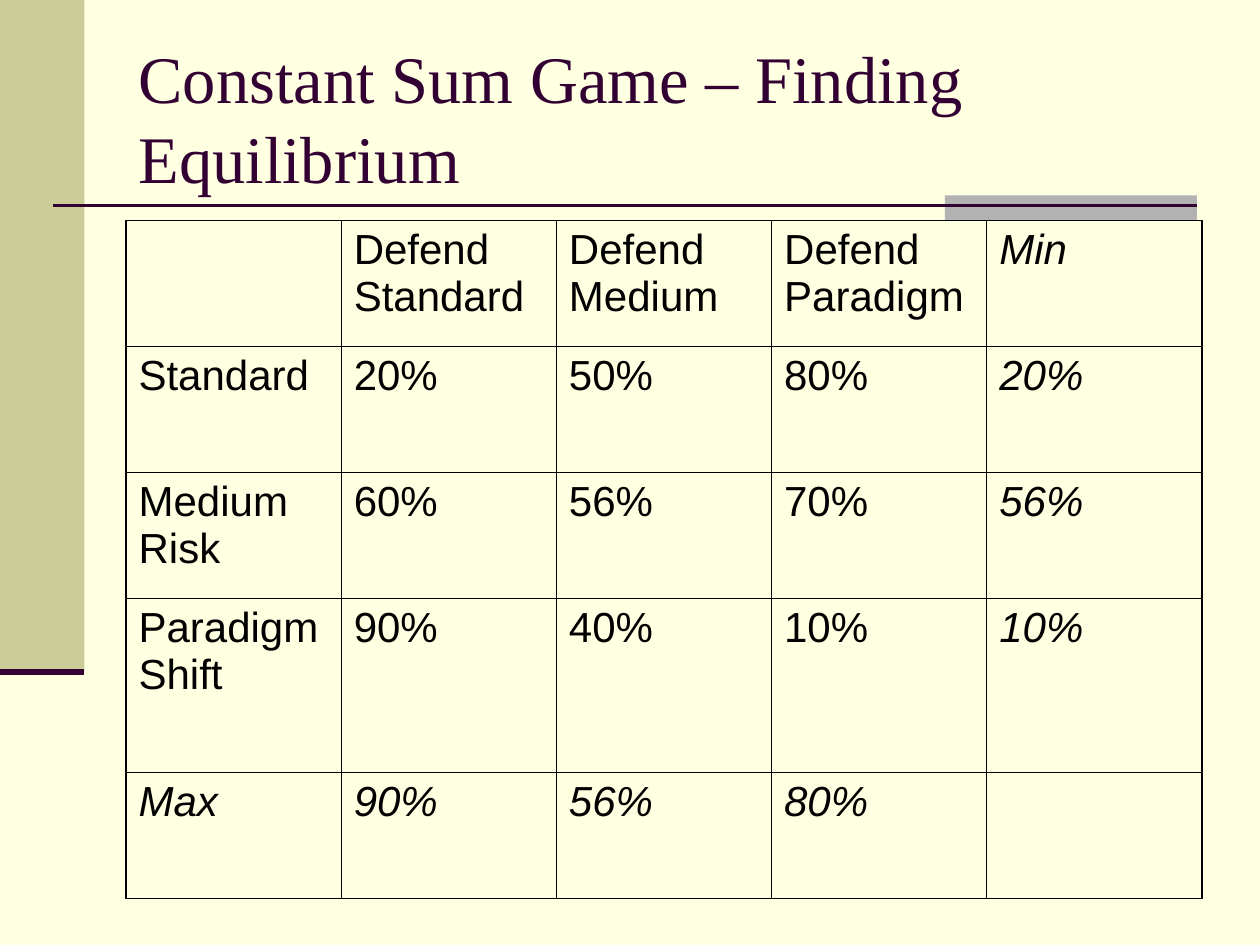
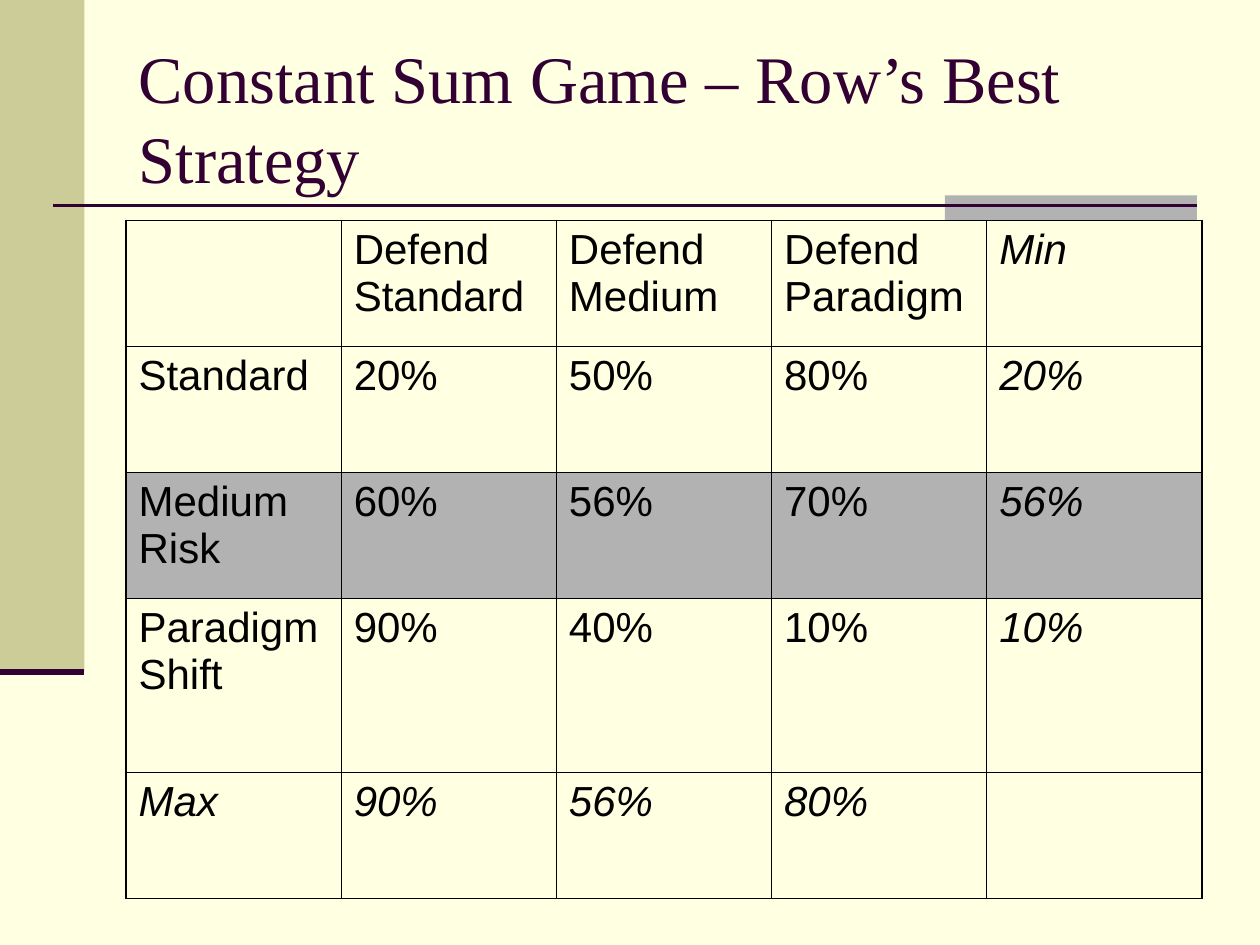
from pptx import Presentation
from pptx.dml.color import RGBColor
from pptx.enum.shapes import MSO_CONNECTOR as CONNECTOR, MSO_SHAPE as SHAPE
from pptx.enum.text import MSO_ANCHOR as ANCHOR, MSO_AUTO_SIZE as AUTO_SIZE, PP_ALIGN as ALIGN
from pptx.oxml import parse_xml
from pptx.oxml.ns import nsdecls, qn
from pptx.util import Inches, Pt
from lxml.etree import SubElement

CREAM = RGBColor(0xFF, 0xFF, 0xE1)
OLIVE = RGBColor(0xCC, 0xCC, 0x99)
GREY = RGBColor(0xB2, 0xB2, 0xB2)
PLUM = RGBColor(0x33, 0x00, 0x33)
BLACK = RGBColor(0x00, 0x00, 0x00)
OUTER_BORDER, INNER_BORDER = Pt(1.08), Pt(0.45)

BANDS = [(0, 0, 0.67, 5.33, OLIVE), (7.5, 1.55, 2, 0.2, GREY)]
RULES = [(0.42, 1.63, 9.5, 1.63, 1.5), (0, 5.33, 0.67, 5.33, 3.5)]

PAYOFFS = [
    ["", "Defend Standard", "Defend Medium", "Defend Paradigm", "Min"],
    ["Standard", "20%", "50%", "80%", "20%"],
    ["Medium Risk", "60%", "56%", "70%", "56%"],
    ["Paradigm Shift", "90%", "40%", "10%", "10%"],
    ["Max", "90%", "56%", "80%", ""],
]
ROW_HEIGHTS = [1, 1, 1, 1.38, 1]
LAST = len(PAYOFFS) - 1
SLIDES = [
    ("Constant Sum Game – Finding Equilibrium", None),
    ("Constant Sum Game – Row’s Best Strategy", "Medium Risk"),
]


def set_border(cell, side, width):
    cell._tc.get_or_add_tcPr().append(parse_xml(
        f'<a:ln{side} {nsdecls("a")} w="{width}"><a:solidFill>'
        f'<a:srgbClr val="{BLACK}"/></a:solidFill></a:ln{side}>'))


def style_font(paragraph, name, size, color):
    paragraph.font.name = name
    paragraph.font.size = Pt(size)
    paragraph.font.color.rgb = color


prs = Presentation()
prs.slide_width, prs.slide_height = Inches(10), Inches(7.5)
master_fill = prs.slide_master.background.fill
master_fill.solid()
master_fill.fore_color.rgb = CREAM

for heading, best_row in SLIDES:
    slide = prs.slides.add_slide(prs.slide_layouts[5])

    for left, top, width, height, color in BANDS:
        band = slide.shapes.add_shape(
            SHAPE.RECTANGLE, Inches(left), Inches(top), Inches(width), Inches(height))
        band.shadow.inherit = False
        band.fill.solid()
        band.fill.fore_color.rgb = color
        band.line.fill.background()

    for x1, y1, x2, y2, weight in RULES:
        rule = slide.shapes.add_connector(
            CONNECTOR.STRAIGHT, Inches(x1), Inches(y1), Inches(x2), Inches(y2))
        rule.line.color.rgb = PLUM
        rule.line.width = Pt(weight)
        SubElement(rule.element.spPr, qn("a:effectLst"))

    title = slide.shapes.title
    title.left, title.top = Inches(1), Inches(0.3)
    title.width, title.height = Inches(8.5), Inches(1.25)
    title.text_frame.text = heading
    title.text_frame.auto_size = AUTO_SIZE.NONE
    title.text_frame.vertical_anchor = ANCHOR.MIDDLE
    heading_line = title.text_frame.paragraphs[0]
    heading_line.alignment = ALIGN.LEFT
    style_font(heading_line, "Times New Roman", 38, PLUM)

    payoffs = slide.shapes.add_table(
        len(PAYOFFS), len(PAYOFFS[0]),
        Inches(1), Inches(1.75), Inches(8.54), Inches(sum(ROW_HEIGHTS))).table
    payoffs.first_row = payoffs.horz_banding = False
    for row, height in zip(payoffs.rows, ROW_HEIGHTS):
        row.height = Inches(height)

    for r, values in enumerate(PAYOFFS):
        for c, value in enumerate(values):
            cell = payoffs.cell(r, c)
            edges = {"L": c == 0, "R": c == LAST, "T": r == 0, "B": r == LAST}
            for side, is_outer in edges.items():
                set_border(cell, side, OUTER_BORDER if is_outer else INNER_BORDER)
            if values[0] == best_row:
                cell.fill.solid()
                cell.fill.fore_color.rgb = GREY
            else:
                cell.fill.background()
            cell.text_frame.text = value
            entry = cell.text_frame.paragraphs[0]
            style_font(entry, "Arial", 24, BLACK)
            entry.font.italic = LAST in (r, c)

prs.save("out.pptx")
